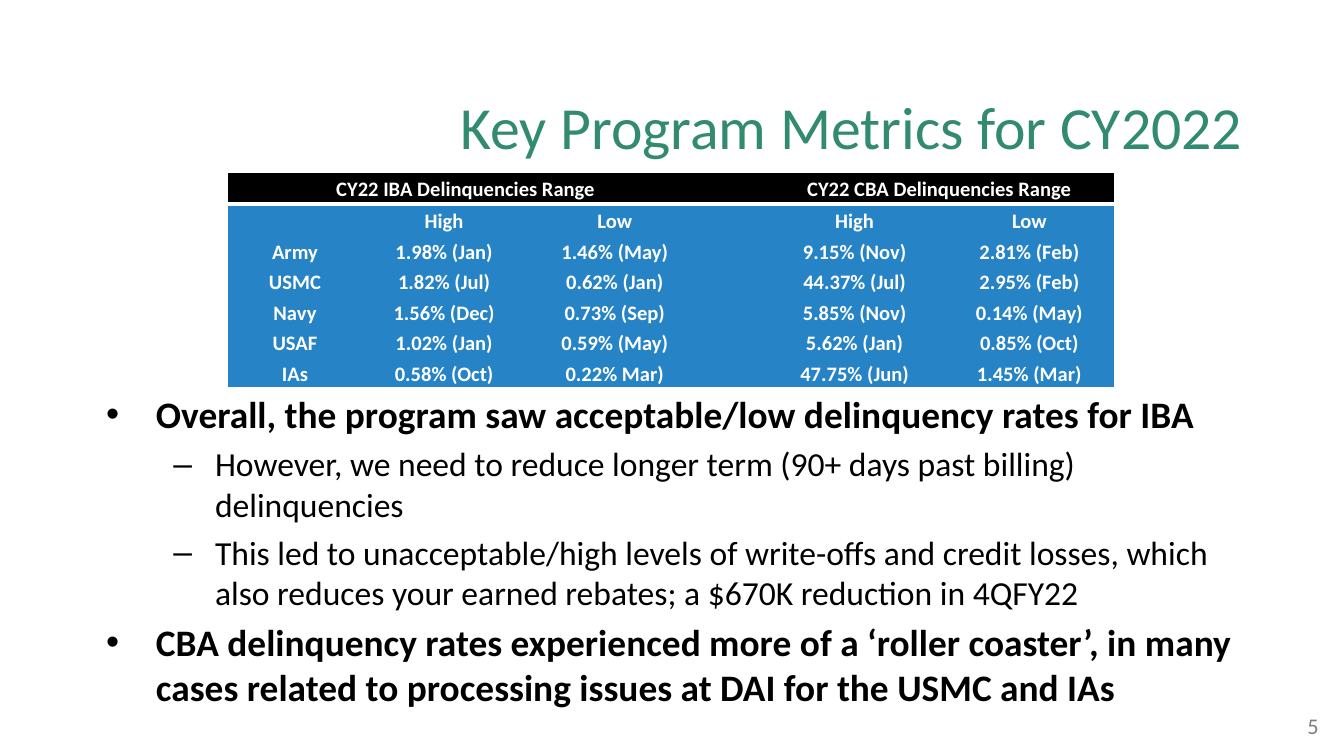
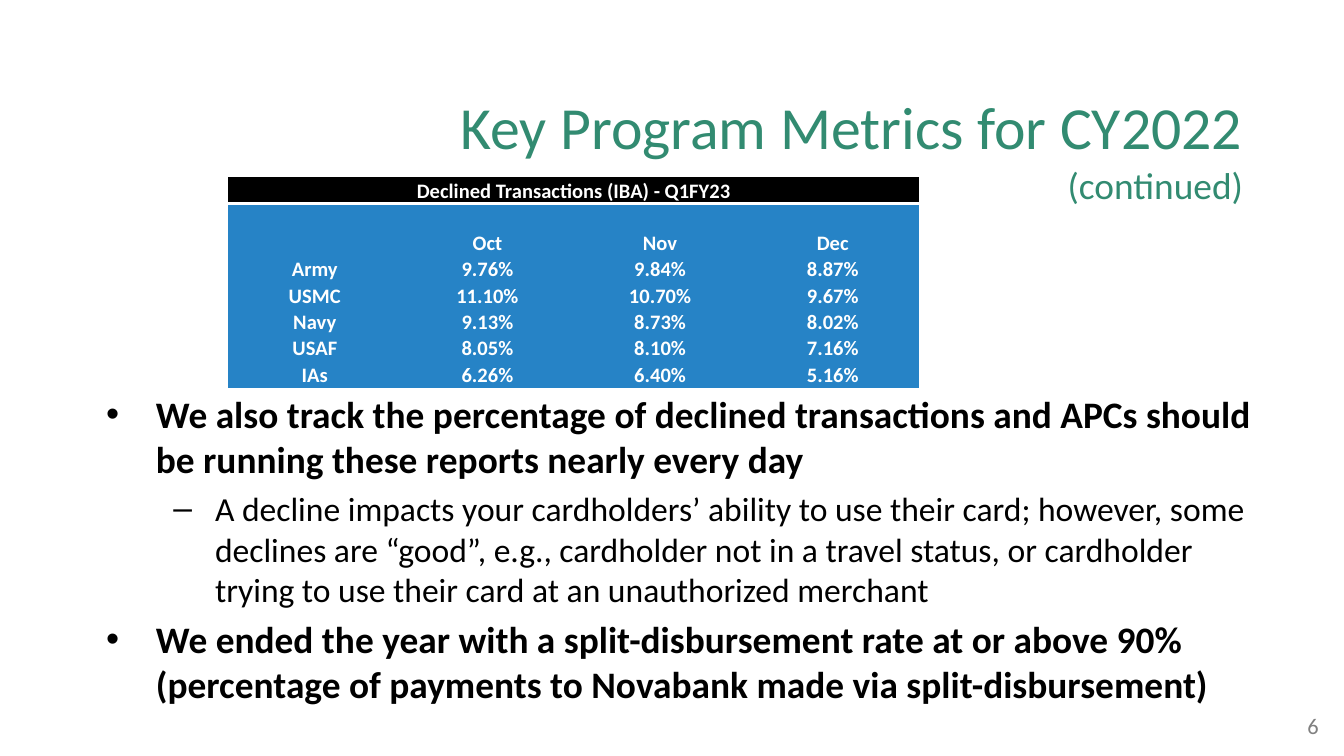
from lxml.etree import SubElement
from pptx import Presentation
from pptx.dml.color import RGBColor
from pptx.enum.text import MSO_ANCHOR, MSO_AUTO_SIZE, PP_ALIGN
from pptx.oxml.ns import qn
from pptx.util import Inches, Pt

WIDE = 10
HIGH = WIDE * 9 / 16
FONT = "Calibri"
HEX = {"title": "328B71", "head": "000000", "cell": "2683C6",
       "light": "FFFFFF", "text": "000000", "page": "808080"}
TITLE = "Key Program Metrics for CY2022"
LEFT = 1.7  # left edge of both tables

# Bullet levels: size, bold, text margin, hanging indent
LEVELS = [(20, True, 0.37, -0.37), (18, False, 0.81, -0.31)]

SLIDES = [
    {
        "page": "5", "top": 0.56, "more": None,
        "table": {
            "top": 1.29, "high": 1.59, "anchor": MSO_ANCHOR.MIDDLE,
            "cols": [0.99, 1.23, 1.31, 0.46, 1.34, 1.26],
            "spans": [(0, 2), (4, 5)],
            "rows": [
                ["CY22 IBA Delinquencies Range", "", "", "",
                 "CY22 CBA Delinquencies Range", ""],
                ["", "High", "Low", "", "High", "Low"],
                ["Army", "1.98% (Jan)", "1.46% (May)", "", "9.15% (Nov)", "2.81% (Feb)"],
                ["USMC", "1.82% (Jul)", "0.62% (Jan)", "", "44.37% (Jul)", "2.95% (Feb)"],
                ["Navy", "1.56% (Dec)", "0.73% (Sep)", "", "5.85% (Nov)", "0.14% (May)"],
                ["USAF", "1.02% (Jan)", "0.59% (May)", "", "5.62% (Jan)", "0.85% (Oct)"],
                ["IAs", "0.58% (Oct)", "0.22% Mar)", "", "47.75% (Jun)", "1.45% (Mar)"],
            ],
        },
        "list": [
            (0, "Overall, the program saw acceptable/low delinquency rates for IBA"),
            (1, "However, we need to reduce longer term (90+ days past billing) "
                "delinquencies"),
            (1, "This led to unacceptable/high levels of write-offs and credit losses, "
                "which also reduces your earned rebates; a $670K reduction in 4QFY22"),
            (0, "CBA delinquency rates experienced more of a ‘roller coaster’, in many "
                "cases related to processing issues at DAI for the USMC and IAs"),
        ],
    },
    {
        "page": "6", "top": 0.73, "more": "(continued)",
        "table": {
            "top": 1.32, "high": 1.52, "anchor": MSO_ANCHOR.BOTTOM,
            "cols": [5.14 / 4] * 4,
            "spans": [(0, 3)],
            "rows": [
                ["Declined Transactions (IBA) - Q1FY23", "", "", ""],
                ["", "", "", ""],
                ["", "Oct", "Nov", "Dec"],
                ["Army", "9.76%", "9.84%", "8.87%"],
                ["USMC", "11.10%", "10.70%", "9.67%"],
                ["Navy", "9.13%", "8.73%", "8.02%"],
                ["USAF", "8.05%", "8.10%", "7.16%"],
                ["IAs", "6.26%", "6.40%", "5.16%"],
            ],
        },
        "list": [
            (0, "We also track the percentage of declined transactions and APCs should "
                "be running these reports nearly every day"),
            (1, "A decline impacts your cardholders’ ability to use their card; however, "
                "some declines are “good”, e.g., cardholder not in a travel status, or "
                "cardholder trying to use their card at an unauthorized merchant"),
            (0, "We ended the year with a split-disbursement rate at or above 90% "
                "(percentage of payments to Novabank made via split-disbursement)"),
        ],
    },
]


def put(para, text, size=11, color="text", bold=False, align=PP_ALIGN.LEFT):
    """Add one formatted run to a paragraph."""
    para.alignment = align
    run = para.add_run()
    run.text = text
    font = run.font
    font.name, font.size, font.bold = FONT, Pt(size), bold
    font.color.rgb = RGBColor.from_string(HEX[color])


def place(shape, left, top, width, height):
    shape.left, shape.top = Inches(left), Inches(top)
    shape.width, shape.height = Inches(width), Inches(height)


def add_title(slide, top, more):
    shape = slide.shapes.title
    place(shape, 0.75, top, 8.5, 0.75)
    frame = shape.text_frame
    frame.auto_size = MSO_AUTO_SIZE.NONE
    frame.vertical_anchor = MSO_ANCHOR.MIDDLE
    frame.margin_left = frame.margin_right = 0
    frame.margin_top = frame.margin_bottom = 0
    para = frame.paragraphs[0]
    put(para, TITLE, size=32, color="title", align=PP_ALIGN.RIGHT)
    if more:
        para.add_line_break()
        SubElement(para._p[-1], qn("a:rPr"), sz="3200")
        put(para, more, size=20, color="title", align=PP_ALIGN.RIGHT)


def rule_below(cell):
    """Draw a white line under a cell."""
    props = cell._tc.get_or_add_tcPr()
    line = SubElement(props, qn("a:lnB"), w=str(Pt(2)))
    fill = SubElement(line, qn("a:solidFill"))
    SubElement(fill, qn("a:srgbClr"), val=HEX["light"])
    props.insert(0, line)


def fill_cell(cell, text, head, anchor):
    cell.margin_left = cell.margin_right = cell.margin_top = Pt(0.5)
    cell.margin_bottom = 0
    cell.vertical_anchor = anchor
    cell.fill.solid()
    cell.fill.fore_color.rgb = RGBColor.from_string(HEX["head" if head else "cell"])
    if head:
        rule_below(cell)
    para = cell.text_frame.paragraphs[0]
    if text:
        put(para, text, color="light", bold=True, align=PP_ALIGN.CENTER)
    else:
        SubElement(para._p, qn("a:endParaRPr"), sz="1100")


def add_grid(slide, top, high, anchor, cols, spans, rows):
    frame = slide.shapes.add_table(
        len(rows), len(cols), Inches(LEFT), Inches(top),
        Inches(sum(cols)), Inches(high))
    table = frame.table
    table.first_row = table.horz_banding = False
    style = table._tbl.tblPr.find(qn("a:tableStyleId"))
    style.text = "{2D5ABB26-0587-4C30-8999-92F81FD0307C}"  # no style, no grid
    for col, width in zip(table.columns, cols):
        col.width = Inches(width)
    for r, texts in enumerate(rows):
        table.rows[r].height = Inches(high / len(rows))
        for c, text in enumerate(texts):
            fill_cell(table.cell(r, c), text, r == 0,
                      MSO_ANCHOR.BOTTOM if r else anchor)
    for first, last in spans:
        table.cell(0, first).merge(table.cell(0, last))


def add_list(slide, items):
    shape = slide.placeholders[1]
    place(shape, 0.69, 2.86, 8.76, 2.51)
    frame = shape.text_frame
    frame.auto_size = MSO_AUTO_SIZE.NONE
    for i, (level, text) in enumerate(items):
        para = frame.add_paragraph() if i else frame.paragraphs[0]
        size, bold, margin, indent = LEVELS[level]
        para.level = level
        para.space_before = Pt(4 if i else 0)
        put(para, text, size=size, bold=bold)
        props = para._p.get_or_add_pPr()
        props.set("marL", str(Inches(margin)))
        props.set("indent", str(Inches(indent)))


def add_page(slide, page):
    box = slide.shapes.add_textbox(0, 0, 0, 0)
    place(box, 9.42, 5.25, 0.49, 0.3)
    box.text_frame.word_wrap = True
    put(box.text_frame.paragraphs[0], page, size=12, color="page",
        align=PP_ALIGN.RIGHT)


def main():
    deck = Presentation()
    deck.slide_width, deck.slide_height = Inches(WIDE), Inches(HIGH)
    for data in SLIDES:
        slide = deck.slides.add_slide(deck.slide_layouts[1])
        add_title(slide, data["top"], data["more"])
        add_grid(slide, **data["table"])
        add_list(slide, data["list"])
        add_page(slide, data["page"])
    deck.save("out.pptx")


if __name__ == "__main__":
    main()
